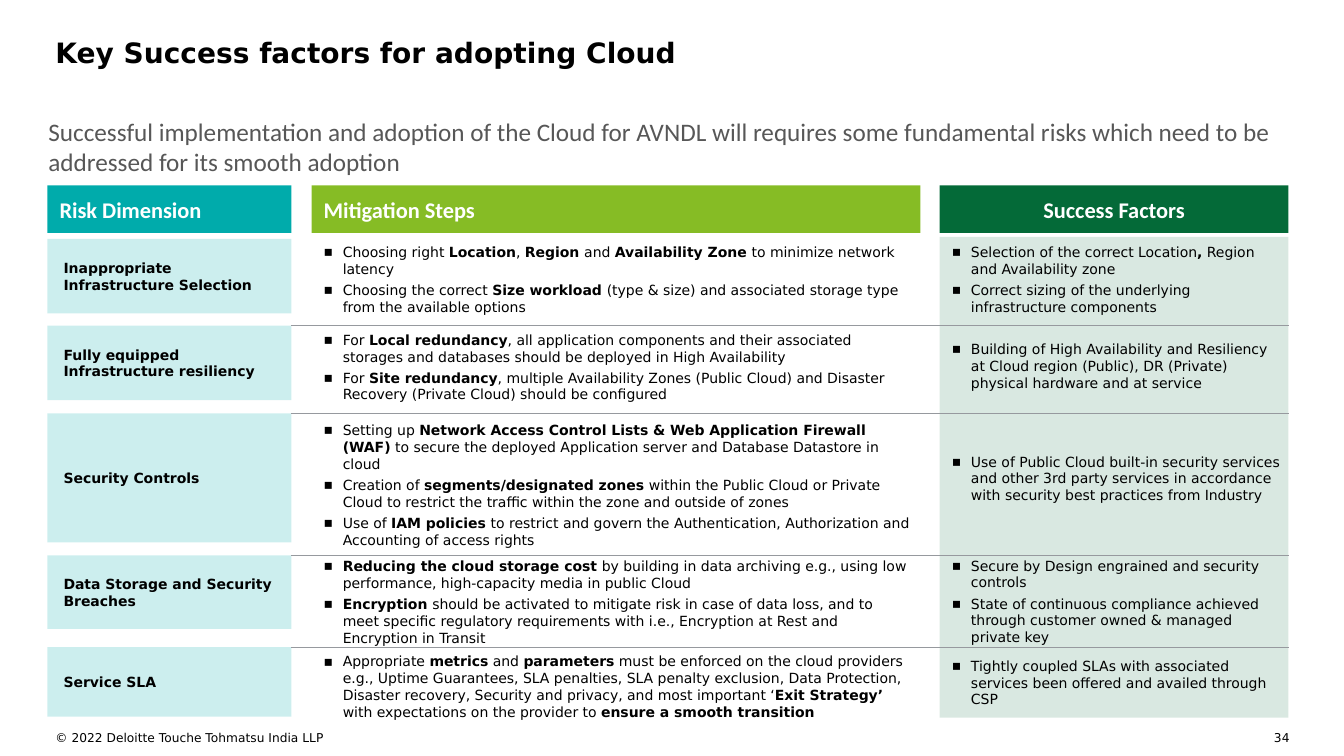
import lxml.etree
import pptx
import pptx.dml.color
import pptx.enum.shapes
import pptx.enum.text
import pptx.oxml.ns
import pptx.util

Inches, Pt = pptx.util.Inches, pptx.util.Pt
RGBColor = pptx.dml.color.RGBColor
PP_ALIGN = pptx.enum.text.PP_ALIGN
MIDDLE = pptx.enum.text.MSO_ANCHOR.MIDDLE
TOP = pptx.enum.text.MSO_ANCHOR.TOP
qn = pptx.oxml.ns.qn

BLACK = RGBColor(0x00, 0x00, 0x00)
WHITE = RGBColor(0xFF, 0xFF, 0xFF)
GREY = RGBColor(0x57, 0x57, 0x57)
RULE_GREY = RGBColor(0x96, 0x99, 0x9E)
TEAL = RGBColor(0x00, 0xAB, 0xAB)
LIME = RGBColor(0x86, 0xBC, 0x25)
FOREST = RGBColor(0x04, 0x6A, 0x38)
BODY, HEADING = "DejaVu Sans", "Calibri"

# Columns as (left, width), in inches
RISK, STEPS, SUCCESS = (0.47, 2.42), (3.09, 6.04), (9.32, 3.46)
RIGHT_EDGE = sum(SUCCESS)
FACTOR_INDENT = 0.08
HEADER_TOP, HEADER_HEIGHT = 1.84, 0.47
PANEL_TOP, PANEL_HEIGHT = 2.35, 4.77
BULLET_INDENT = 0.19

HEADERS = [
    ("Risk Dimension", RISK, TEAL, PP_ALIGN.LEFT),
    ("Mitigation Steps", STEPS, LIME, PP_ALIGN.LEFT),
    ("Success Factors", SUCCESS, FOREST, PP_ALIGN.CENTER),
]

# Each row: risk, steps and factors, each with (top, height); asterisks enclose bold words
ROWS = [
    ((2.37, 0.74), ["Inappropriate Infrastructure Selection"],
     (2.43, 0.68), ["Choosing right *Location*, *Region *and *Availability Zone *to minimize network latency",
                    "Choosing the correct *Size workload *(type & size) and associated storage type "
                    "from the available options"],
     (2.43, 0.68), ["Selection of the correct Location*,* Region and Availability zone",
                    "Correct sizing of the underlying infrastructure components"]),
    ((3.23, 0.74), ["Fully equipped", "Infrastructure resiliency"],
     (3.3, 0.68), ["For *Local redundancy*, all application components and their associated storages "
                   "and databases should be deployed in High Availability",
                   "For *Site redundancy*, multiple Availability Zones (Public Cloud) and Disaster "
                   "Recovery (Private Cloud) should be configured"],
     (3.29, 0.68), ["Building of High Availability and Resiliency at Cloud region (Public), "
                    "DR (Private) physical hardware and at service"]),
    ((4.1, 1.28), ["Security Controls"],
     (4.16, 1.3), ["Setting up *Network Access Control Lists & Web Application Firewall (WAF)* to secure "
                   "the deployed Application server and Database Datastore in cloud",
                   "Creation of *segments/designated zones *within the Public Cloud or Private Cloud "
                   "to restrict the traffic within the zone and outside of zones",
                   "Use of *IAM policies *to restrict and govern the Authentication, Authorization "
                   "and Accounting of access rights"],
     (4.2, 1.09), ["Use of Public Cloud built-in security services and other 3rd party services "
                   "in accordance with security best practices from Industry"]),
    ((5.51, 0.73), ["Data Storage and Security Breaches"],
     (5.63, 0.68), ["*Reducing the cloud storage cost *by building in data archiving e.g., using low "
                    "performance, high-capacity media in public Cloud",
                    "*Encryption *should be activated to mitigate risk in case of data loss, and to meet "
                    "specific regulatory requirements with i.e., Encryption at Rest and Encryption in Transit"],
     (5.52, 0.89), ["Secure by Design engrained and security controls",
                    "State of continuous compliance achieved through customer owned & managed private key"]),
    ((6.42, 0.69), ["Service SLA"],
     (6.47, 0.68), ["Appropriate *metrics* and *parameters* must be enforced on the cloud providers e.g., "
                    "Uptime Guarantees, SLA penalties, SLA penalty exclusion, Data Protection, Disaster "
                    "recovery, Security and privacy, and most important ‘*Exit Strategy’ *with expectations "
                    "on the provider to *ensure a smooth transition*"],
     (6.43, 0.68), ["Tightly coupled SLAs with associated services been offered and availed through CSP"]),
]


def add_bullet(paragraph):
    properties = paragraph._p.get_or_add_pPr()
    properties.set("marL", str(Inches(BULLET_INDENT)))
    properties.set("indent", str(-Inches(BULLET_INDENT)))
    lxml.etree.SubElement(properties, qn("a:buFont"), typeface=BODY)
    lxml.etree.SubElement(properties, qn("a:buChar"), char="▪")


def write(holder, texts, size=10, face=BODY, color=BLACK, bold=False, align=PP_ALIGN.LEFT,
          anchor=MIDDLE, insets=(0, 0, 0, 0), bulleted=False):
    frame = holder.text_frame
    frame.word_wrap = True
    frame.vertical_anchor = anchor
    (frame.margin_left, frame.margin_top,
     frame.margin_right, frame.margin_bottom) = map(Inches, insets)
    for index, text in enumerate(texts):
        paragraph = frame.add_paragraph() if index else frame.paragraphs[0]
        paragraph.alignment = align
        if bulleted:
            paragraph.space_after = Pt(3)
            add_bullet(paragraph)
        font = paragraph.font
        font.size, font.name, font.bold = Pt(size), face, bold
        font.color.rgb = color
        for part, words in enumerate(text.split("*")):
            if words:
                run = paragraph.add_run()
                run.text = words
                if part % 2:
                    run.font.bold = True


def add_text(slide, box, texts, **style):
    write(slide.shapes.add_textbox(*map(Inches, box)), texts, **style)


def add_block(slide, box, color, opacity=100):
    block = slide.shapes.add_shape(pptx.enum.shapes.MSO_SHAPE.RECTANGLE, *map(Inches, box))
    block.shadow.inherit = False
    block.line.fill.background()
    block.fill.solid()
    block.fill.fore_color.rgb = color
    if opacity < 100:
        tint = block._element.spPr.find(qn("a:solidFill"))[0]
        lxml.etree.SubElement(tint, qn("a:alpha"), val=str(opacity * 1000))
    return block


def add_rule(slide, left, right, top):
    rule = slide.shapes.add_connector(pptx.enum.shapes.MSO_CONNECTOR.STRAIGHT,
                                      *map(Inches, (left, top, right, top)))
    rule.line.color.rgb = RULE_GREY
    rule.line.width = Pt(0.5)
    lxml.etree.SubElement(rule._element.spPr, qn("a:effectLst"))


def add_headings(slide):
    add_text(slide, (0.55, 0.35, 12.24, 0.76), ["Key Success factors for adopting Cloud"],
             size=20, bold=True, anchor=TOP)
    add_text(slide, (0.48, 1.15, 12.29, 0.83),
             ["Successful implementation and adoption of the Cloud for AVNDL will requires some "
              "fundamental risks which need to be addressed for its smooth adoption"],
             size=18, face=HEADING, color=GREY, anchor=TOP)


def add_header_row(slide):
    for label, (left, width), color, align in HEADERS:
        header = add_block(slide, (left, HEADER_TOP, width, HEADER_HEIGHT), color)
        write(header, [label], size=16, face=HEADING, color=WHITE, bold=True, align=align,
              insets=(0.12, 0.1, 0.12, 0.1))


def add_risk_row(slide, risk_span, risk, steps_span, steps, factors_span, factors):
    def cell(column, span):
        return column[0], span[0], column[1], span[1]

    label = add_block(slide, cell(RISK, risk_span), TEAL, opacity=20)
    write(label, risk, bold=True, insets=(0.16, 0.1, 0.1, 0.1))
    add_text(slide, cell(STEPS, steps_span), steps, bulleted=True, insets=(0.12, 0.1, 0.08, 0.1))
    factor_column = (SUCCESS[0] + FACTOR_INDENT, SUCCESS[1] - FACTOR_INDENT)
    add_text(slide, cell(factor_column, factors_span), factors, bulleted=True,
             insets=(0.04, 0.1, 0.04, 0.1))


def add_footer(slide):
    add_text(slide, (0.55, 7.25, 5.86, 0.22), ["© 2022 Deloitte Touche Tohmatsu India LLP"],
             size=8.7, anchor=TOP)
    add_text(slide, (12.45, 7.25, 0.34, 0.11), ["34"], size=8.7, align=PP_ALIGN.RIGHT, anchor=TOP)


def main():
    deck = pptx.Presentation()
    deck.slide_width, deck.slide_height = Inches(13.33), Inches(7.5)
    slide = deck.slides.add_slide(deck.slide_layouts[6])

    add_headings(slide)
    # Tinted panel behind the success factors
    add_block(slide, (SUCCESS[0], PANEL_TOP, SUCCESS[1], PANEL_HEIGHT), FOREST, opacity=15)
    add_header_row(slide)
    for row in ROWS:
        add_risk_row(slide, *row)
    # Rules between the rows
    for row in ROWS[1:]:
        add_rule(slide, sum(RISK), RIGHT_EDGE, row[0][0])
    add_footer(slide)
    deck.save("out.pptx")


if __name__ == "__main__":
    main()
